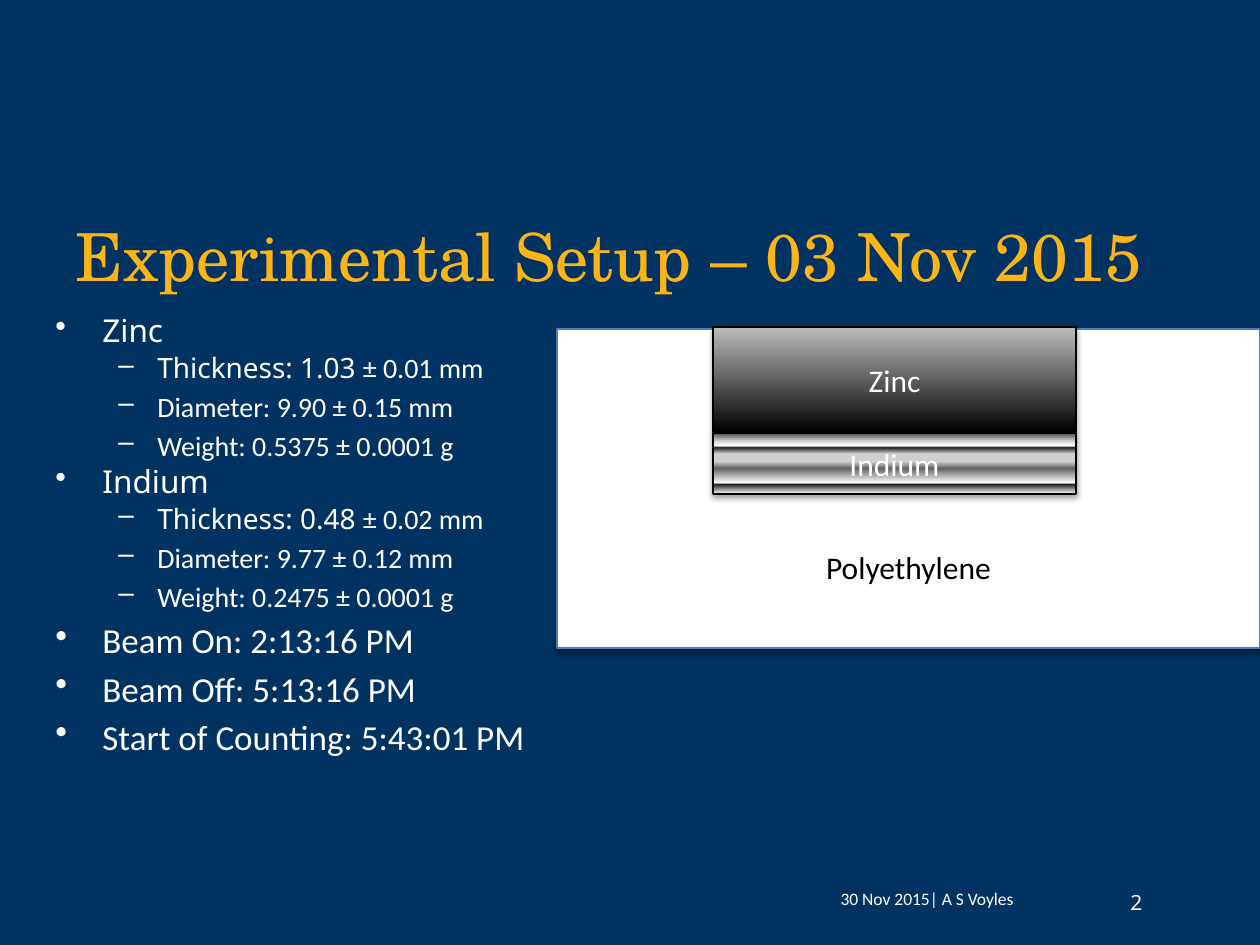
from dataclasses import dataclass

from lxml.etree import SubElement
from pptx import Presentation
from pptx.dml.color import RGBColor
from pptx.enum.shapes import MSO_SHAPE as Shape
from pptx.enum.text import MSO_ANCHOR as Anchor, PP_ALIGN as Align
from pptx.oxml.ns import qn
from pptx.util import Pt

EMU_PER_PX = 914400 / 126


@dataclass(frozen=True)
class Theme:
    navy: str = "003262"
    gold: str = "FDB515"
    white: str = "FFFFFF"
    black: str = "000000"
    outline: str = "4B7EBC"
    serif: str = "TeX Gyre Schola"
    sans: str = "Noto Sans"
    body: str = "Calibri"
    title_size: float = 37.8
    time_size: int = 20
    head_size: int = 18
    detail_size: int = 16
    number_size: int = 12
    footer_size: int = 10


T = Theme()

ZINC_METAL = [(0, "000000"), (100, "BDBDBD")]
INDIUM_METAL = [(0, "FFFFFF"), (16, "1F1F1F"), (18, "FFFFFF"),
                (42, "636363"), (53, "CFCFCF"), (66, "CFCFCF"),
                (76, "1F1F1F"), (79, "FFFFFF"), (100, "7F7F7F")]

# Foil name, thickness, diameter, weight
FOILS = [
    ("Zinc", "1.03", "± 0.01 mm", "9.90 ± 0.15 mm", "0.5375 ± 0.0001 g"),
    ("Indium", "0.48", "± 0.02 mm", "9.77 ± 0.12 mm", "0.2475 ± 0.0001 g"),
]
TIMES = ["Beam On: 2:13:16 PM", "Beam Off: 5:13:16 PM",
         "Start of Counting: 5:43:01 PM"]


def px(n):
    return round(n * EMU_PER_PX)


def rgb(color):
    return RGBColor.from_string(color)


def add_run(p, text, size=T.head_size, font=T.body, color=T.white):
    r = p.add_run()
    r.text = text
    r.font.size, r.font.name = Pt(size), font
    r.font.color.rgb = rgb(color)


def add_text(slide, box, text="", anchor=Anchor.TOP, align=Align.LEFT, **fmt):
    tf = slide.shapes.add_textbox(*map(px, box)).text_frame
    tf.word_wrap = True
    tf.vertical_anchor = anchor
    if text:
        tf.paragraphs[0].alignment = align
        add_run(tf.paragraphs[0], text, **fmt)
    return tf


def add_bullet(tf, runs, size, level=0, before=0):
    """Add one bulleted line; runs are (text, font) pairs."""
    p = tf.paragraphs[0] if not tf.paragraphs[0].runs else tf.add_paragraph()
    p.level = level
    p.space_before = Pt(before)
    margin, hang, mark = [(47, 47, "•"), (102, 39, "–")][level]
    pPr = p._p.get_or_add_pPr()
    pPr.set("marL", str(px(margin)))
    pPr.set("indent", str(-px(hang)))
    SubElement(pPr, qn("a:buChar"), char=mark)
    for text, font in runs:
        add_run(p, text, size=size, font=font)


def set_gradient(sp, stops):
    """Fill from bottom to top with any number of stops."""
    sp.fill.gradient()
    sp.fill.gradient_angle = 90
    gs_list = sp._element.spPr.find(qn("a:gradFill")).find(qn("a:gsLst"))
    gs_list.clear()
    for pos, color in stops:
        gs = SubElement(gs_list, qn("a:gs"), pos=str(pos * 1000))
        SubElement(gs, qn("a:srgbClr"), val=color)


def add_shadow(sp):
    sp.shadow.inherit = False
    effects = sp._element.spPr.find(qn("a:effectLst"))
    shadow = SubElement(effects, qn("a:outerShdw"), blurRad=str(Pt(3.1)),
                        dist=str(Pt(1.8)), dir="5400000", rotWithShape="0")
    color = SubElement(shadow, qn("a:srgbClr"), val=T.black)
    SubElement(color, qn("a:alpha"), val="35000")


def add_layer(group, box, label, stops=None, line=T.black, color=T.white):
    sp = group.shapes.add_shape(Shape.FLOWCHART_PROCESS, *map(px, box))
    if stops:
        set_gradient(sp, stops)
    else:
        sp.fill.solid()
        sp.fill.fore_color.rgb = rgb(T.white)
    sp.line.color.rgb = rgb(line)
    sp.line.width = Pt(0.75)
    add_shadow(sp)
    tf = sp.text_frame
    tf.vertical_anchor = Anchor.MIDDLE
    tf.paragraphs[0].alignment = Align.CENTER
    add_run(tf.paragraphs[0], label, color=color)
    return tf


def add_measurements(slide):
    tf = add_text(slide, (43, 305, 500, 500))
    for name, thickness, error, diameter, weight in FOILS:
        add_bullet(tf, [(name, T.sans)], T.head_size)
        add_bullet(tf, [(f"Thickness: {thickness} ", T.sans), (error, T.body)],
                   T.detail_size, level=1, before=1)
        for detail in (f"Diameter: {diameter}", f"Weight: {weight}"):
            add_bullet(tf, [(detail, T.body)], T.detail_size, level=1, before=3)
    for time in TIMES:
        add_bullet(tf, [(time, T.body)], T.time_size, before=3.5)


def add_stack(slide):
    group = slide.shapes.add_group_shape()
    tf = add_layer(group, (557, 329, 703, 319), "Polyethylene",
                   line=T.outline, color=T.black)
    # The label sits below the foils
    tf.vertical_anchor = Anchor.BOTTOM
    tf.margin_bottom = px(62)
    add_layer(group, (713, 433, 363, 61), "Indium", INDIUM_METAL)
    add_layer(group, (713, 327, 363, 105), "Zinc", ZINC_METAL)


def main():
    prs = Presentation()
    prs.slide_width, prs.slide_height = px(1260), px(945)
    slide = prs.slides.add_slide(prs.slide_layouts[6])
    slide.background.fill.solid()
    slide.background.fill.fore_color.rgb = rgb(T.navy)

    # Title
    add_text(slide, (63, 176, 1134, 158), "Experimental Setup – 03 Nov 2015",
             anchor=Anchor.MIDDLE, size=T.title_size, font=T.serif,
             color=T.gold)
    # Foil data and beam times
    add_measurements(slide)
    # Target cross-section
    add_stack(slide)
    # Footer
    add_text(slide, (765, 873, 324, 52), "30 Nov 2015| A S Voyles",
             anchor=Anchor.MIDDLE, align=Align.CENTER, size=T.footer_size)
    add_text(slide, (1118, 883, 142, 38), "2", size=T.number_size, font=T.sans)

    prs.save("out.pptx")


if __name__ == "__main__":
    main()
